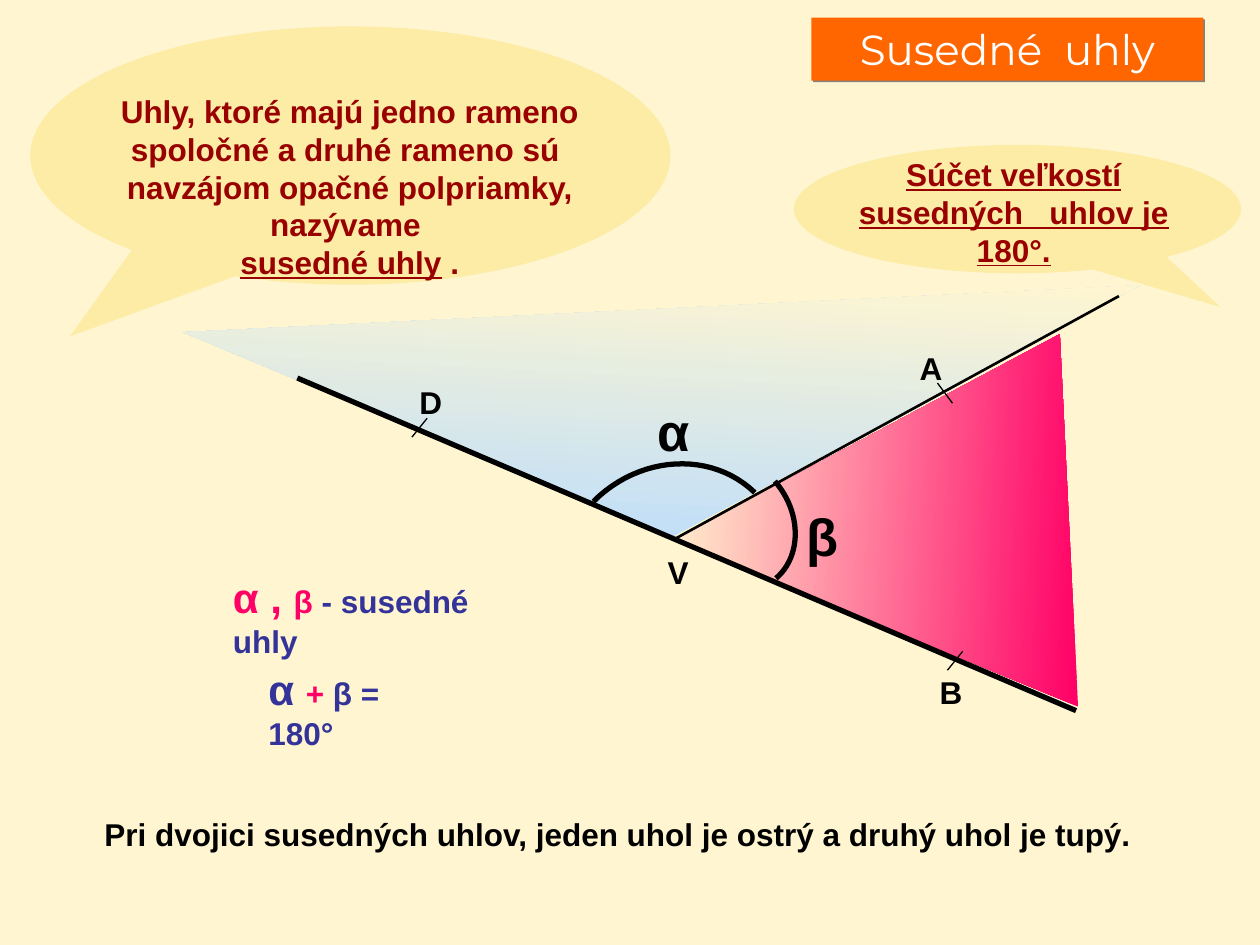
"""Build the slide about adjacent angles (susedné uhly)."""
from dataclasses import dataclass
from typing import Optional

import lxml.etree
import pptx
import pptx.dml.color
import pptx.enum.shapes
import pptx.enum.text
import pptx.oxml
import pptx.oxml.ns
import pptx.util

Pt = pptx.util.Pt
RGBColor = pptx.dml.color.RGBColor
qn = pptx.oxml.ns.qn
ShapeKind = pptx.enum.shapes.MSO_SHAPE
Align = pptx.enum.text.PP_ALIGN

CREAM = RGBColor(0xFF, 0xF6, 0xD1)
SAND = RGBColor(0xFD, 0xEC, 0xA5)
SKY = RGBColor(0xB7, 0xDB, 0xFF)
PINK = RGBColor(0xFF, 0x00, 0x66)
ORANGE = RGBColor(0xFF, 0x66, 0x00)
MAROON = RGBColor(0x99, 0x00, 0x00)
INDIGO = RGBColor(0x33, 0x33, 0x99)
GREY = RGBColor(0x80, 0x80, 0x80)
BLACK = RGBColor(0x00, 0x00, 0x00)
WHITE = RGBColor(0xFF, 0xFF, 0xFF)

INSETS = {"margin_left": Pt(7.2), "margin_right": Pt(7.2),
          "margin_top": Pt(3.6), "margin_bottom": Pt(3.6)}
Box = tuple[float, float, float, float]
Point = tuple[float, float]


@dataclass(frozen=True)
class Run:
    text: str
    color: RGBColor = BLACK
    size: float = 18
    underline: bool = False
    bold: bool = True
    face: str = "Arial"


@dataclass(frozen=True)
class Caption:
    box: Box
    paragraphs: list[list[Run]]
    align: Align = Align.LEFT
    wrap: bool = True


@dataclass(frozen=True)
class Callout:
    box: Box
    tail: Point
    caption: Caption


@dataclass(frozen=True)
class AngleArea:
    box: Box
    rotation: float
    color: RGBColor
    direction: float


@dataclass(frozen=True)
class PointMark:
    letter: str
    corner: Point
    tick: Optional[tuple[Point, Point]] = None


ANGLE_AREAS = [
    AngleArea((107.3, 176.4, 547.2, 130.3), 177.2, SKY, 273),
    AngleArea((391.7, 190.1, 213.1, 225.4), 267.2, PINK, 183),
]
ARCS = [
    [(442.8, 275), (457.9, 292.3), (458.6, 317.5), (443.5, 330.5)],
    [(339.1, 286.6), (365.8, 259.9), (406.8, 257.8), (431.3, 281.5)],
]
ANGLE_NAMES = [
    Caption((368.6, 224.6, 33.1, 43.2), [[Run("α", size=30)]], wrap=False),
    Caption((453.6, 284.4, 31, 43.2), [[Run("β", size=30)]], wrap=False),
]
CALLOUTS = [
    Callout((17.3, 15.1, 365.8, 147.6), (-0.438, 0.7), Caption(
        (45.4, 49, 308.9, 136.8),
        [[Run("Uhly, ktoré majú jedno rameno spoločné a druhé rameno sú  "
              "navzájom opačné polpriamky, nazývame ", MAROON)],
         [Run("susedné uhly", MAROON, underline=True), Run(" .", MAROON)]],
        Align.CENTER)),
    Callout((453.6, 82.8, 255.6, 73.4), (0.454, 0.763), Caption(
        (471.6, 85, 215.3, 93.6),
        [[Run("Súčet veľkostí susedných   uhlov je 180°.", MAROON, underline=True)]],
        Align.CENTER)),
]
POINT_MARKS = [
    PointMark("V", (374.4, 312.5)),
    PointMark("A", (518.4, 195.8), ((535.7, 218.9), (544.3, 230.4))),
    PointMark("B", (529.9, 380.9), ((550.1, 372.2), (541.4, 383))),
    PointMark("D", (232.6, 215.3), ((244.1, 239), (235.4, 249.8))),
]
STATEMENTS = [
    Caption((126, 323.3, 180, 54), [[Run("α , ", PINK, 24), Run("β ", PINK),
                                     Run("- susedné uhly", INDIGO)]]),
    Caption((146.2, 375.8, 110, 54), [[Run("α ", INDIGO, 24), Run("+ ", PINK),
                                       Run("β = 180°", INDIGO)]]),
    Caption((52.6, 462.2, 604.1, 28.8), [[Run(
        "Pri dvojici susedných uhlov, jeden uhol je ostrý a druhý uhol je tupý.")]]),
]
TITLE = Caption((463.7, 10.1, 223.9, 36),
                [[Run("Susedné  uhly", WHITE, 24, bold=False, face="Montserrat")]],
                Align.CENTER)


def in_points(values) -> list[int]:
    """Convert numbers to point lengths."""
    return [Pt(value) for value in values]


def write(frame, caption: Caption) -> None:
    """Fill a text frame with the caption's runs."""
    for name, value in {**INSETS, "word_wrap": caption.wrap}.items():
        setattr(frame, name, value)
    for index, runs in enumerate(caption.paragraphs):
        paragraph = frame.add_paragraph() if index else frame.paragraphs[0]
        paragraph.alignment = caption.align
        for run in runs:
            piece = paragraph.add_run()
            piece.text = run.text
            piece.font.color.rgb = run.color
            styles = {"name": run.face, "size": Pt(run.size),
                      "bold": run.bold, "underline": run.underline}
            for name, value in styles.items():
                setattr(piece.font, name, value)


def draw_caption(slide, caption: Caption) -> None:
    """Place a caption in a text box."""
    write(slide.shapes.add_textbox(*in_points(caption.box)).text_frame, caption)


def draw_plain(slide, kind: ShapeKind, box: Box, color: RGBColor):
    """Draw a filled preset shape without outline or shadow."""
    plain = slide.shapes.add_shape(kind, *in_points(box))
    plain.shadow.inherit = False
    plain.fill.solid()
    plain.fill.fore_color.rgb = color
    plain.line.fill.background()
    return plain


def draw_angle_area(slide, area: AngleArea) -> None:
    """Draw a triangle that fades into the background."""
    triangle = draw_plain(slide, ShapeKind.ISOSCELES_TRIANGLE, area.box, area.color)
    triangle.rotation = area.rotation
    triangle.fill.gradient()
    for stop, color in zip(triangle.fill.gradient_stops, (area.color, CREAM)):
        stop.color.rgb = color
    for stop, position in zip(triangle.fill.gradient_stops, (0, 1)):
        stop.position = position
    gradient = triangle._element.spPr.find(qn("a:gradFill"))
    gradient.set("rotWithShape", "0")
    direction = gradient.find(qn("a:lin"))
    direction.set("ang", str(round(area.direction * 60000)))
    direction.set("scaled", "0")


def draw_arc(slide, controls: list[Point], steps: int = 24) -> None:
    """Draw an open cubic curve through its four control points."""
    curve = []
    for step in range(steps + 1):
        t = step / steps
        weights = ((1 - t) ** 3, 3 * t * (1 - t) ** 2, 3 * t * t * (1 - t), t ** 3)
        curve.append(tuple(Pt(sum(w * v for w, v in zip(weights, axis)))
                           for axis in zip(*controls)))
    builder = slide.shapes.build_freeform(*curve[0])
    builder.add_line_segments(curve[1:], close=False)
    arc = builder.convert_to_shape()
    arc.shadow.inherit = False
    arc.fill.background()
    arc.line.color.rgb = BLACK
    arc.line.width = Pt(3)


def draw_line(slide, start: Point, end: Point, width: float) -> None:
    """Draw a straight black line."""
    segment = slide.shapes.add_connector(
        pptx.enum.shapes.MSO_CONNECTOR.STRAIGHT, *in_points(start + end))
    segment.line.color.rgb = BLACK
    segment.line.width = Pt(width)
    lxml.etree.SubElement(segment._element.spPr, qn("a:effectLst"))


def draw_callout(slide, callout: Callout) -> None:
    """Draw a speech bubble and its text."""
    bubble = draw_plain(slide, ShapeKind.OVAL_CALLOUT, callout.box, SAND)
    for index, value in enumerate(callout.tail):
        bubble.adjustments[index] = value
    draw_caption(slide, callout.caption)


def draw_point_mark(slide, mark: PointMark) -> None:
    """Draw a point's letter and its tick."""
    draw_caption(slide, Caption((*mark.corner, 33.8, 28.8), [[Run(mark.letter)]]))
    if mark.tick:
        draw_line(slide, *mark.tick, 0.75)


def draw_title(slide) -> None:
    """Draw the title banner with its hard shadow."""
    banner = draw_plain(slide, ShapeKind.RECTANGLE, TITLE.box, ORANGE)
    effects = banner._element.spPr.find(qn("a:effectLst"))
    shadow = lxml.etree.SubElement(effects, qn("a:outerShdw"), blurRad="0",
                                   dist=str(Pt(1.4)), dir="2700000", rotWithShape="0")
    lxml.etree.SubElement(shadow, qn("a:srgbClr"), val=str(GREY))
    write(banner.text_frame, TITLE)


def main() -> None:
    """Build and save the presentation."""
    deck = pptx.Presentation()
    deck.slide_width, deck.slide_height = Pt(720), Pt(540)
    slide = deck.slides.add_slide(deck.slide_layouts[6])
    slide.background.fill.solid()
    slide.background.fill.fore_color.rgb = CREAM
    for draw, items in ((draw_angle_area, ANGLE_AREAS), (draw_arc, ARCS),
                        (draw_caption, ANGLE_NAMES), (draw_callout, CALLOUTS),
                        (draw_point_mark, POINT_MARKS), (draw_caption, STATEMENTS)):
        for item in items:
            draw(slide, item)
    draw_line(slide, (169.9, 216), (614.9, 406.1), 3)
    draw_line(slide, (385.2, 308.2), (639.4, 169.2), 1.5)
    draw_title(slide)
    deck.save("out.pptx")


if __name__ == "__main__":
    main()
